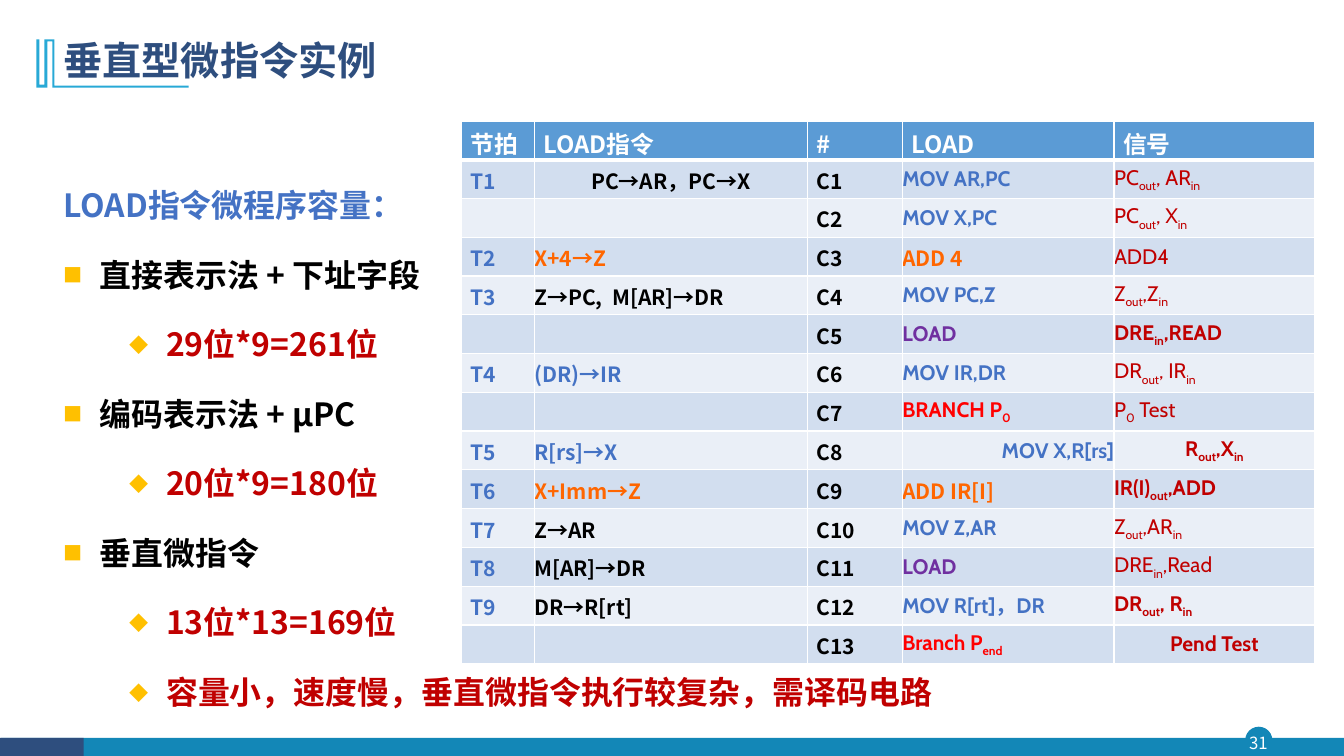
from dataclasses import dataclass

from lxml.etree import SubElement
from pptx import Presentation
from pptx.dml.color import RGBColor
from pptx.enum.shapes import MSO_SHAPE
from pptx.enum.text import MSO_ANCHOR, MSO_AUTO_SIZE, PP_ALIGN
from pptx.oxml.ns import qn
from pptx.util import Inches, Pt


@dataclass(frozen=True)
class Theme:
    sans: str = "Noto Sans CJK SC"
    code: str = "Cabin"
    navy: str = "2E4E7E"
    teal: str = "1387B7"
    cyan: str = "28A9D6"
    blue: str = "4472C4"
    gold: str = "FFC000"
    crimson: str = "C00000"
    red: str = "FF0000"
    orange: str = "FF6600"
    purple: str = "7030A0"
    black: str = "000000"
    white: str = "FFFFFF"
    header: str = "5B9BD5"
    bands: tuple = ("D2DEEF", "EAEFF7")
    title_size: float = 28
    body_size: float = 22.8
    header_size: float = 17
    cell_size: float = 15
    number_size: float = 12


THEME = Theme()
COLUMN_WIDTHS = (0.72, 2.71, 0.94, 2.1, 1.99)
HEADINGS = ("节拍", "LOAD指令", "#", "LOAD", "信号")
# beat, operation, its colour, microinstruction, its colour, signals, signals in bold
# Text between underscores is subscript.
STEPS = (
    ("T1", "PC→AR，PC→X", THEME.black, "MOV AR,PC", THEME.blue, "PC_out_, AR_in_", False),
    ("", "", THEME.black, "MOV X,PC", THEME.blue, "PC_out_, X_in_", False),
    ("T2", "X+4→Z", THEME.orange, "ADD 4", THEME.orange, "ADD4", False),
    ("T3", "Z→PC,  M[AR]→DR", THEME.black, "MOV PC,Z", THEME.blue, "Z_out_,Z_in_", False),
    ("", "", THEME.black, "LOAD", THEME.purple, "DRE_in_,READ", True),
    ("T4", "(DR)→IR", THEME.blue, "MOV IR,DR", THEME.blue, "DR_out_, IR_in_", False),
    ("", "", THEME.black, "BRANCH P_0_", THEME.red, "P_0_ Test", False),
    ("T5", "R[rs]→X", THEME.blue, "MOV X,R[rs]", THEME.blue, "R_out_,X_in_", True),
    ("T6", "X+Imm→Z", THEME.orange, "ADD IR[I]", THEME.orange, "IR(I)_out_,ADD", True),
    ("T7", "Z→AR", THEME.black, "MOV Z,AR", THEME.blue, "Z_out_,AR_in_", False),
    ("T8", "M[AR]→DR", THEME.black, "LOAD", THEME.purple, "DRE_in_,Read", False),
    ("T9", "DR→R[rt]", THEME.black, "MOV R[rt]，DR", THEME.blue, "DR_out_, R_in_", True),
    ("", "", THEME.black, "Branch P_end_", THEME.red, "Pend Test", True),
)
ALIGNMENTS = {(1, 1): PP_ALIGN.CENTER, (8, 3): PP_ALIGN.RIGHT,
              (8, 4): PP_ALIGN.CENTER, (13, 4): PP_ALIGN.CENTER}
CAPACITIES = (
    ("直接表示法 + 下址字段", ("29位*9=261位",)),
    ("编码表示法 + μPC", ("20位*9=180位",)),
    ("垂直微指令", ("13位*13=169位", "容量小，速度慢，垂直微指令执行较复杂，需译码电路")),
)


def set_all(target, values):
    for name, value in values.items():
        setattr(target, name, value)


def add_solid_fill(parent, color):
    SubElement(SubElement(parent, qn("a:solidFill")), qn("a:srgbClr"), val=color)


class SlideBuilder:
    def __init__(self, deck, theme):
        self.theme = theme
        self.page = deck.slides.add_slide(deck.slide_layouts[5])

    def add_text(self, para, text, size, color, bold=True, font=None):
        font = font or self.theme.sans
        for index, part in enumerate(text.split("_")):
            if not part:
                continue
            span = para.add_run()
            span.text = part
            set_all(span.font, {"size": Pt(size), "bold": bold, "name": font})
            span.font.color.rgb = RGBColor.from_string(color)
            properties = span._r.get_or_add_rPr()
            SubElement(properties, qn("a:ea"), typeface=font)
            if index % 2:
                properties.set("baseline", "-25000")

    def paint(self, shape, color):
        shape.shadow.inherit = False
        shape.fill.solid()
        shape.fill.fore_color.rgb = RGBColor.from_string(color)
        shape.line.fill.background()

    def shape(self, kind, bounds, color):
        self.paint(self.page.shapes.add_shape(kind, *map(Inches, bounds)), color)

    def outline(self, points, color):
        start, *rest = [(Inches(x), Inches(y)) for x, y in points]
        builder = self.page.shapes.build_freeform(*start, scale=1.0)
        builder.add_line_segments(rest, close=True)
        self.paint(builder.convert_to_shape(), color)

    def title(self, text, bounds):
        box = self.page.shapes.title
        set_all(box, dict(zip(("left", "top", "width", "height"), map(Inches, bounds))))
        set_all(box.text_frame, {"vertical_anchor": MSO_ANCHOR.MIDDLE, "word_wrap": True})
        para = box.text_frame.paragraphs[0]
        set_all(para, {"alignment": PP_ALIGN.LEFT, "line_spacing": 0.9})
        self.add_text(para, text, self.theme.title_size, self.theme.navy)

    def page_number(self, text, bounds):
        frame = self.page.shapes.add_textbox(*map(Inches, bounds)).text_frame
        set_all(frame, {"margin_left": 0, "margin_right": 0, "margin_top": 0, "margin_bottom": 0,
                        "word_wrap": True, "vertical_anchor": MSO_ANCHOR.MIDDLE})
        para = frame.paragraphs[0]
        para.alignment = PP_ALIGN.CENTER
        self.add_text(para, text, self.theme.number_size, self.theme.white, bold=False)

    def bullet(self, para, symbol, level, indent):
        para.level = level
        properties = para._p.get_or_add_pPr()
        properties.set("marL", str(Inches(indent)))
        properties.set("indent", str(-Inches(0.36)))
        SubElement(SubElement(properties, qn("a:buClr")), qn("a:srgbClr"), val=self.theme.gold)
        SubElement(properties, qn("a:buSzPct"), val="60000")
        SubElement(properties, qn("a:buFont"), typeface=self.theme.sans)
        SubElement(properties, qn("a:buChar"), char=symbol)

    def capacity_list(self, heading, groups, bounds):
        theme = self.theme
        frame = self.page.shapes.add_textbox(*map(Inches, bounds)).text_frame
        set_all(frame, {"word_wrap": True, "auto_size": MSO_AUTO_SIZE.SHAPE_TO_FIT_TEXT})
        lines = [(heading, theme.blue, None)]
        for method, details in groups:
            lines.append((method, theme.black, ("■", 0, 0.36)))
            lines += [(detail, theme.crimson, ("◆", 1, 1.02)) for detail in details]
        for index, (text, color, bullet) in enumerate(lines):
            para = frame.add_paragraph() if index else frame.paragraphs[0]
            set_all(para, {"line_spacing": 1.4, "space_after": Pt(5.7),
                           "space_before": Pt(5.7 if index else 0)})
            if bullet:
                self.bullet(para, *bullet)
            self.add_text(para, text, theme.body_size, color)

    def cell(self, cell, fill, inset, alignment, text, size, color, bold=True, font=None):
        set_all(cell, {"vertical_anchor": MSO_ANCHOR.MIDDLE,
                       "margin_left": Inches(inset), "margin_right": Inches(inset),
                       "margin_top": Inches(0.05), "margin_bottom": Inches(0.05)})
        para = cell.text_frame.paragraphs[0]
        para.alignment = alignment
        self.add_text(para, text, size, color, bold, font)
        if not text:
            SubElement(para._p, qn("a:endParaRPr"), sz=str(size * 100))
        properties = cell._tc.get_or_add_tcPr()
        bottom = 3 if fill == self.theme.header else 1
        for side, width in (("L", 1), ("R", 1), ("T", 1), ("B", bottom)):
            border = SubElement(properties, qn(f"a:ln{side}"), w=str(Pt(width)))
            add_solid_fill(border, self.theme.white)
        add_solid_fill(properties, fill)

    def step_table(self, bounds):
        theme = self.theme
        rows = [[(text, theme.header_size, theme.white) for text in HEADINGS]]
        for number, (beat, action, action_color, micro, micro_color, signal, bold) in enumerate(STEPS, 1):
            micro_font = theme.sans if micro_color == theme.orange else theme.code
            rows.append([(beat, theme.cell_size, theme.blue),
                         (action, theme.cell_size, action_color),
                         (f"C{number}", theme.cell_size, theme.black),
                         (micro, theme.cell_size, micro_color, True, micro_font),
                         (signal, theme.cell_size, theme.crimson, bold, theme.code)])
        table = self.page.shapes.add_table(len(rows), len(HEADINGS), *map(Inches, bounds)).table
        for column, width in zip(table.columns, COLUMN_WIDTHS):
            column.width = Inches(width)
        for r, row in enumerate(rows):
            fill = theme.bands[(r - 1) % 2] if r else theme.header
            for c, content in enumerate(row):
                inset = 0.09 if r == 0 or c in (0, 2) else 0
                alignment = ALIGNMENTS.get((r, c), PP_ALIGN.LEFT)
                self.cell(table.cell(r, c), fill, inset, alignment, *content)


def main():
    deck = Presentation()
    set_all(deck, {"slide_width": Inches(13.33), "slide_height": Inches(7.5)})
    slide = SlideBuilder(deck, THEME)
    slide.shape(MSO_SHAPE.OVAL, (12.35, 7.21, 0.27, 0.27), THEME.teal)
    slide.shape(MSO_SHAPE.RECTANGLE, (0.01, 7.32, 13.32, 0.19), THEME.teal)
    slide.shape(MSO_SHAPE.RECTANGLE, (0, 7.32, 0.83, 0.19), THEME.navy)
    slide.page_number("31", (12.32, 7.21, 0.32, 0.31))
    slide.outline(((0.54, 0.39), (0.54, 0.85), (1.87, 0.85), (1.87, 0.87), (0.52, 0.87),
                   (0.52, 0.41), (0.47, 0.41), (0.47, 0.87), (0.36, 0.87), (0.36, 0.39),
                   (0.39, 0.39), (0.39, 0.84), (0.44, 0.84), (0.44, 0.39)), THEME.cyan)
    slide.title("垂直型微指令实例", (0.53, 0.28, 11.5, 0.68))
    slide.capacity_list("LOAD指令微程序容量：", CAPACITIES, (0.53, 1.64, 9.44, 5.57))
    slide.step_table((4.58, 1.2, 8.46, 5.38))
    deck.save("out.pptx")


if __name__ == "__main__":
    main()
